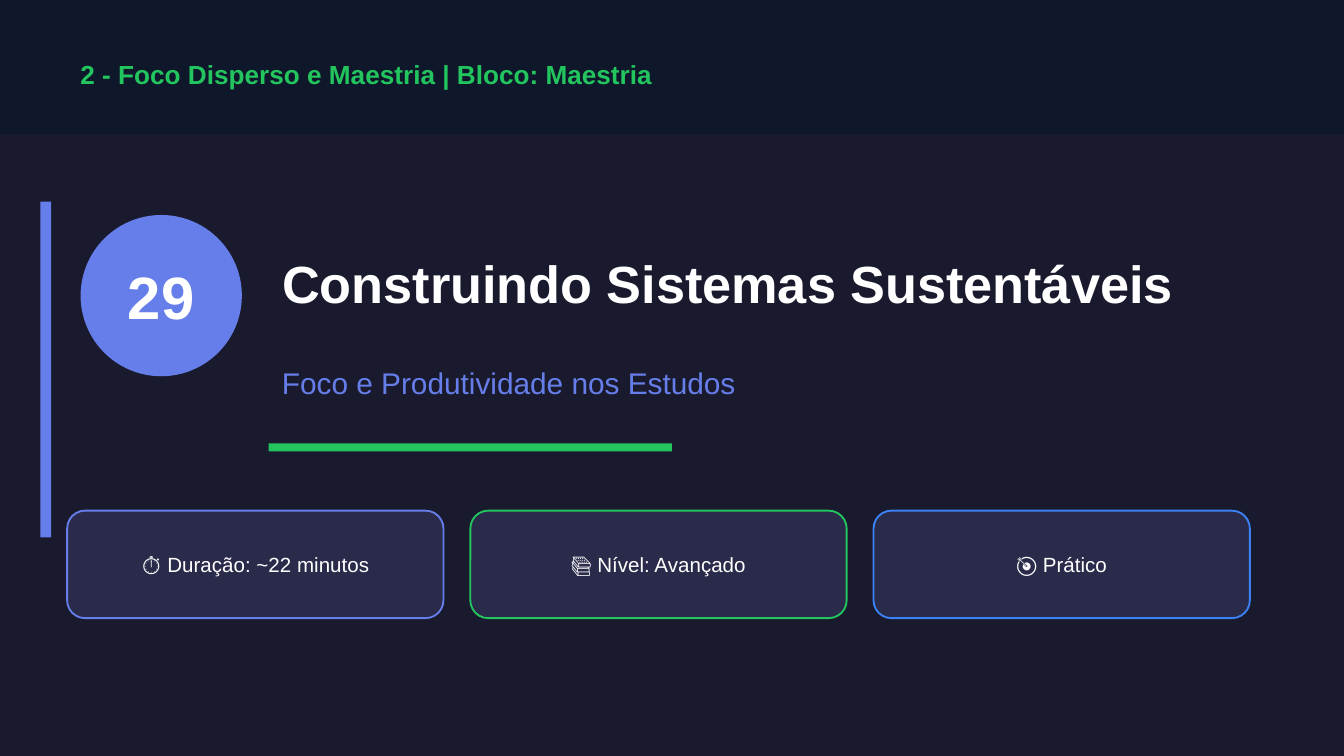
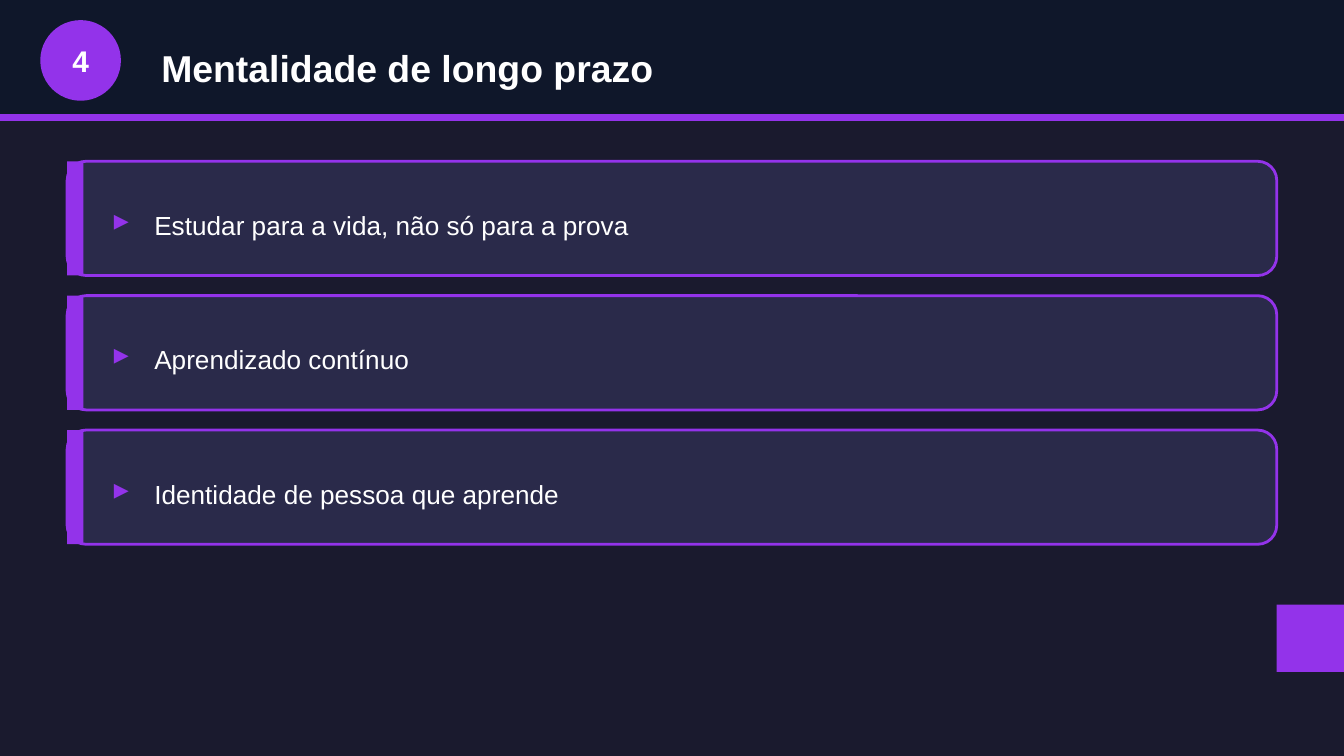
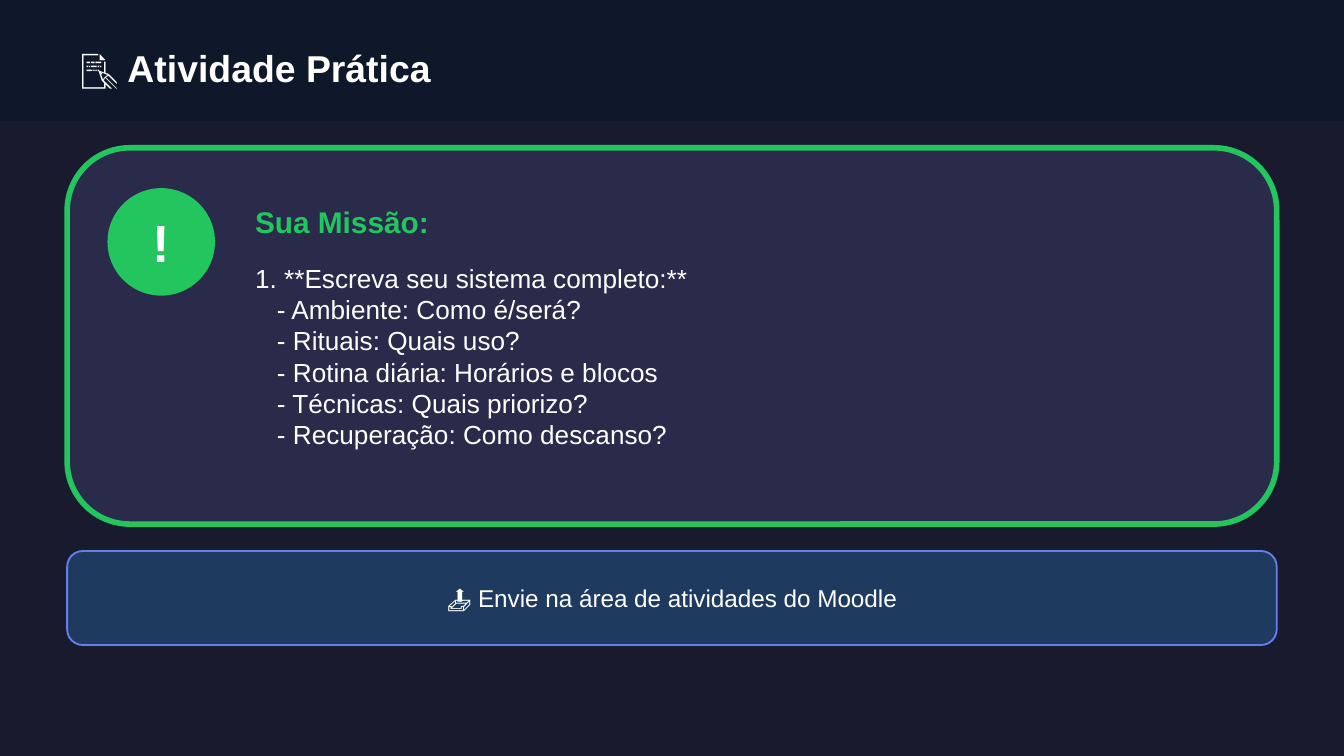
from pptx import Presentation
from pptx.dml.color import RGBColor
from pptx.enum.shapes import MSO_SHAPE
from pptx.enum.text import MSO_ANCHOR, MSO_AUTO_SIZE, PP_ALIGN
from pptx.util import Pt

FONT = "Arial"
BACKGROUND, BAND, CARD, SUBMIT = "1A1A2E", "0F172A", "2A2A4A", "1E3A5F"
WHITE, GREEN, INDIGO, BLUE, PURPLE = "FFFFFF", "22C55E", "667EEA", "3B82F6", "9333EA"
MARGIN, CONTENT_WIDTH = 36, 648


def add_box(page, kind, left, top, width, height, fill=None, line=None, weight=1):
    """Add a filled preset shape, or a text box when kind is None."""
    place = Pt(left), Pt(top), Pt(width), Pt(height)
    if kind is None:
        return page.shapes.add_textbox(*place)
    box = page.shapes.add_shape(kind, *place)
    box.shadow.inherit = False
    box.fill.solid()
    box.fill.fore_color.rgb = RGBColor.from_string(fill)
    if line:
        box.line.color.rgb = RGBColor.from_string(line)
        box.line.width = Pt(weight)
    else:
        box.line.fill.background()
    return box


def write(box, lines, size, color=WHITE, bold=False, align=PP_ALIGN.LEFT,
          anchor=MSO_ANCHOR.MIDDLE):
    """Fill a box with one paragraph per line, all in one style."""
    frame = box.text_frame
    frame.word_wrap = True
    frame.auto_size = MSO_AUTO_SIZE.NONE
    frame.vertical_anchor = anchor
    for number, line in enumerate(lines):
        para = frame.add_paragraph() if number else frame.paragraphs[0]
        para.alignment = align
        span = para.add_run()
        span.text = line
        span.font.name = FONT
        span.font.size = Pt(size)
        span.font.bold = bold
        span.font.color.rgb = RGBColor.from_string(color)


deck = Presentation()
deck.slide_width, deck.slide_height = Pt(720), Pt(405)
deck.slide_master.background.fill.solid()
deck.slide_master.background.fill.fore_color.rgb = RGBColor.from_string(BACKGROUND)

# Every page has a top band and a title: text, size, title place, band height
headings = [
    ("Construindo Sistemas Sustentáveis", 28, (144, 115.2, 540, 72), 72),
    ("Mentalidade de longo prazo", 20, (79.2, 18, 612, 36), 64.8),
    ("📝 Atividade Prática", 20, (36, 18, 648, 36), 64.8),
]
pages = []
for text, size, place, band_height in headings:
    page = deck.slides.add_slide(deck.slide_layouts[5])
    add_box(page, MSO_SHAPE.RECTANGLE, 0, 0, 720, band_height, BAND)
    title = page.shapes.title
    title.left, title.top, title.width, title.height = [Pt(value) for value in place]
    write(title, [text], size, bold=True)
    page.shapes.element.append(title.element)  # bring the title in front of the band
    pages.append(page)
cover, mindset, activity = pages

# Cover
module = add_box(cover, None, MARGIN, 25.2, CONTENT_WIDTH, 28.8)
write(module, ["2 - Foco Disperso e Maestria | Bloco: Maestria"], 14, GREEN, bold=True)
add_box(cover, MSO_SHAPE.RECTANGLE, 21.6, 108, 5.76, 180, INDIGO)
lesson = add_box(cover, MSO_SHAPE.OVAL, 43.2, 115.2, 86.4, 86.4, INDIGO)
write(lesson, ["29"], 32, bold=True, align=PP_ALIGN.CENTER)
subtitle = add_box(cover, None, 144, 187.2, 540, 36)
write(subtitle, ["Foco e Produtividade nos Estudos"], 16, INDIGO)
add_box(cover, MSO_SHAPE.RECTANGLE, 144, 237.6, 216, 4.32, GREEN)

facts = [("⏱ Duração: ~22 minutos", INDIGO), ("📚 Nível: Avançado", GREEN), ("🎯 Prático", BLUE)]
for column, (fact, color) in enumerate(facts):
    card = add_box(cover, MSO_SHAPE.ROUNDED_RECTANGLE, MARGIN + column * 216, 273.6,
                   201.6, 57.6, CARD, color)
    write(card, [fact], 11, align=PP_ALIGN.CENTER)

# Mindset
add_box(mindset, MSO_SHAPE.RECTANGLE, 0, 61.2, 720, 3.6, PURPLE)
section = add_box(mindset, MSO_SHAPE.OVAL, 21.6, 10.8, 43.2, 43.2, PURPLE)
write(section, ["4"], 16, bold=True, align=PP_ALIGN.CENTER)

ideas = ["Estudar para a vida, não só para a prova", "Aprendizado contínuo",
         "Identidade de pessoa que aprende"]
for row, idea in enumerate(ideas):
    top = 86.4 + row * 72
    add_box(mindset, MSO_SHAPE.ROUNDED_RECTANGLE, MARGIN, top, CONTENT_WIDTH, 61.2,
            CARD, PURPLE, 1.5)
    add_box(mindset, MSO_SHAPE.RECTANGLE, MARGIN, top, 8.64, 61.2, PURPLE)
    marker = add_box(mindset, None, 54, top + 18, 21.6, 25.2)
    write(marker, ["▸"], 16, PURPLE, bold=True)
    label = add_box(mindset, None, 75.6, top + 18, 590.4, 32.4)
    write(label, [idea], 14)
add_box(mindset, MSO_SHAPE.RECTANGLE, 684, 324, 36, 36, PURPLE)

# Activity
add_box(activity, MSO_SHAPE.ROUNDED_RECTANGLE, MARGIN, 79.2, CONTENT_WIDTH, 201.6,
        CARD, GREEN, 3)
alert = add_box(activity, MSO_SHAPE.OVAL, 57.6, 100.8, 57.6, 57.6, GREEN)
write(alert, ["!"], 28, bold=True, align=PP_ALIGN.CENTER)
mission = add_box(activity, None, 129.6, 100.8, 540, 36)
write(mission, ["Sua Missão:"], 16, GREEN, bold=True)

steps = add_box(activity, None, 129.6, 136.8, 532.8, 129.6)
write(steps, [
    "1. **Escreva seu sistema completo:**",
    "- Ambiente: Como é/será?",
    "- Rituais: Quais uso?",
    "- Rotina diária: Horários e blocos",
    "- Técnicas: Quais priorizo?",
    "- Recuperação: Como descanso?",
], 14, anchor=MSO_ANCHOR.TOP)
for para in steps.text_frame.paragraphs[1:]:
    para._p.get_or_add_pPr().set("marL", str(Pt(11.67)))

submit = add_box(activity, MSO_SHAPE.ROUNDED_RECTANGLE, MARGIN, 295.2, CONTENT_WIDTH, 50.4,
                 SUBMIT, INDIGO)
write(submit, ["📤 Envie na área de atividades do Moodle"], 13, align=PP_ALIGN.CENTER)

deck.save("out.pptx")
